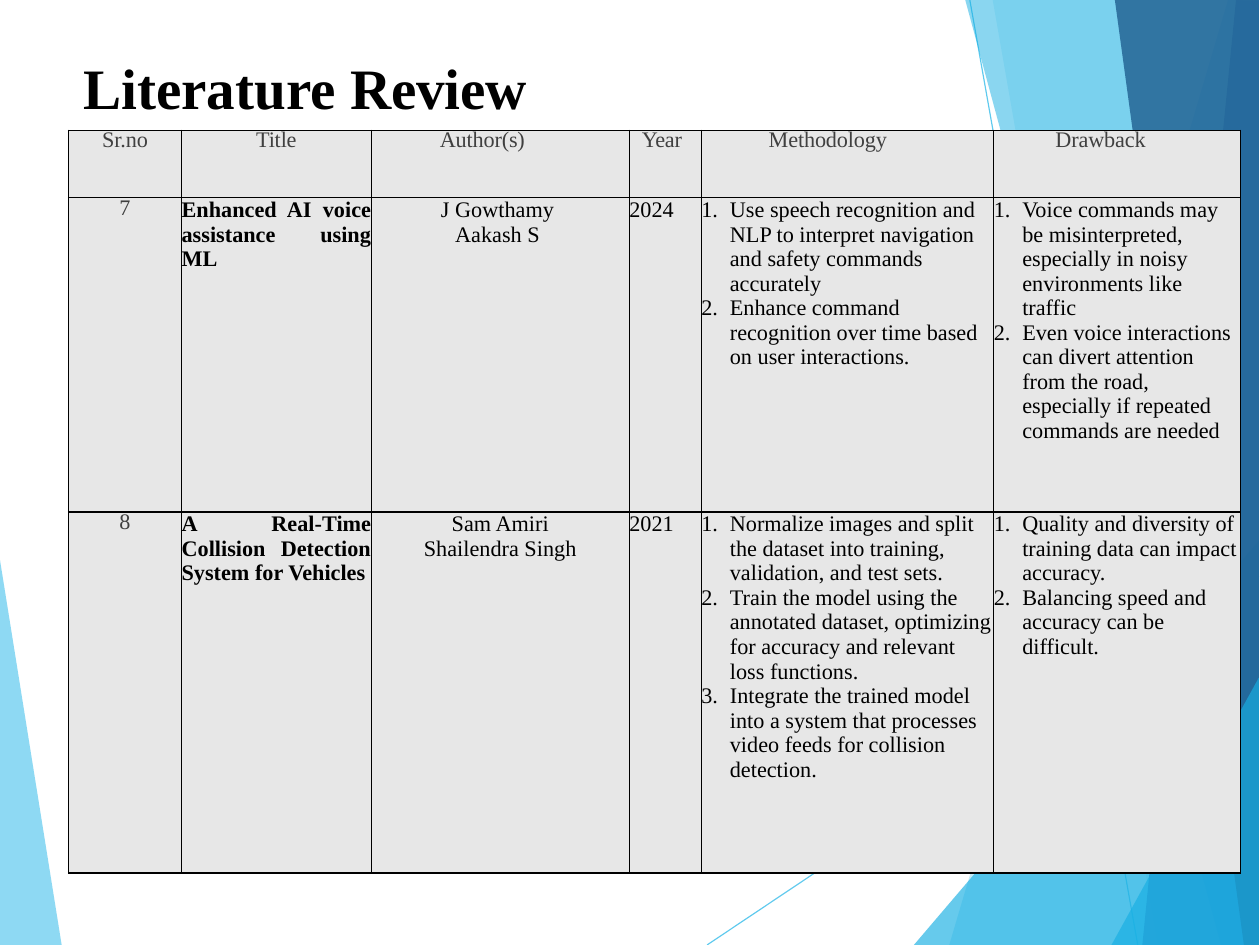
from lxml.etree import SubElement
from pptx import Presentation
from pptx.dml.color import RGBColor
from pptx.enum.shapes import MSO_CONNECTOR
from pptx.enum.text import PP_ALIGN
from pptx.oxml import parse_xml
from pptx.oxml.ns import nsdecls, qn
from pptx.util import Pt

PX = 9144  # EMU in one px, 100 px to the inch
WIDTH, HEIGHT = 1103, 827
EDGE = 1102
FONT = "Times New Roman"
BLACK, GREY, CELL_FILL = "000000", "404040", "E7E7E7"
SKY, CYAN, BLUE, NAVY = "5FCAEE", "17AFE3", "2D83C3", "226192"

# Decoration: outline points, colour, opacity in percent
LEFT_WEDGE = ([(0, 490), (0, HEIGHT), (54, HEIGHT)], SKY, 70)
RIGHT_FACETS = [
    ([(1075, 0), (831, HEIGHT), (EDGE, HEIGHT), (EDGE, 1)], SKY, 36),
    ([(EDGE, 0), (869, 0), (1014, HEIGHT), (EDGE, HEIGHT)], SKY, 20),
    ([(EDGE, 473), (800, HEIGHT), (EDGE, HEIGHT)], CYAN, 66),
    ([(EDGE, 0), (845, 0), (1069, HEIGHT), (EDGE, HEIGHT)], CYAN, 50),
    ([(EDGE, 0), (1082, 0), (1000, HEIGHT), (EDGE, HEIGHT)], BLUE, 70),
    ([(EDGE, 0), (976, 0), (1089, HEIGHT), (EDGE, HEIGHT)], NAVY, 82),
    ([(EDGE, 593), (973, HEIGHT), (EDGE, HEIGHT)], CYAN, 66),
]
THIN_LINES = [(619, HEIGHT, EDGE, 504), (849, 0, 996, HEIGHT)]

# Table content
COLUMN_WIDTHS = [99, 166, 226, 63, 256, 216]
ROW_HEIGHTS = [59, 275, 316]
# Heading, left indent (None means centred), letter spacing
HEADINGS = [
    ("Sr.no", None, -10), ("Title", None, -10), ("Author(s)", 60, -10),
    ("Year", 11, -20), ("Methodology", 59, -10), ("Drawback", 54, -10),
]
PAPERS = [
    ("7", "Enhanced AI voice assistance using ML", ["J Gowthamy ", "Aakash S "], "2024",
     ["Use speech recognition and NLP to interpret navigation and safety commands accurately",
      "Enhance command recognition over time based on user interactions."],
     ["Voice commands may be misinterpreted, especially in noisy environments like traffic",
      "Even voice interactions can divert attention from the road, "
      "especially if repeated commands are needed"]),
    ("8", "A Real-Time Collision Detection System for Vehicles",
     ["Sam Amiri", "Shailendra Singh"], "2021",
     ["Normalize images and split the dataset into training, validation, and test sets.",
      "Train the model using the annotated dataset, optimizing for accuracy "
      "and relevant loss functions.",
      "Integrate the trained model into a system that processes video feeds "
      "for collision detection."],
     ["Quality and diversity of training data can impact accuracy.",
      "Balancing speed and accuracy can be difficult."]),
]


def color(hex_code):
    return RGBColor.from_string(hex_code)


def add_facet(slide, points, fill, opacity):
    builder = slide.shapes.build_freeform(*points[0], scale=PX)
    builder.add_line_segments(points[1:], close=True)
    shape = builder.convert_to_shape()
    shape.shadow.inherit = False
    shape.line.fill.background()
    shape.fill.solid()
    shape.fill.fore_color.rgb = color(fill)
    fill_color = shape.element.spPr.find(qn("a:solidFill"))[0]
    SubElement(fill_color, qn("a:alpha"), val=str(opacity * 1000))


def add_thin_line(slide, *ends):
    connector = slide.shapes.add_connector(MSO_CONNECTOR.STRAIGHT, *(end * PX for end in ends))
    connector.line.color.rgb = color(SKY)
    connector.line.width = Pt(0.75)
    SubElement(connector.element.spPr, qn("a:effectLst"))


def add_run(paragraph, text, size=14, fill=BLACK, bold=False, spacing=0):
    run = paragraph.add_run()
    run.text = text
    run.font.name = FONT
    run.font.size = Pt(size)
    run.font.bold = bold
    run.font.color.rgb = color(fill)
    if spacing:
        run.font._element.set("spc", str(spacing))


def set_indent(paragraph, left, first=0):
    properties = paragraph._p.get_or_add_pPr()
    properties.set("marL", str(left * PX))
    properties.set("indent", str(first * PX))
    return properties


def add_title(slide):
    box = slide.shapes.add_textbox(38 * PX, 24 * PX, 855 * PX, 118 * PX)
    frame = box.text_frame
    frame.word_wrap = True
    frame.margin_left = frame.margin_right = frame.margin_bottom = 0
    frame.margin_top = 22 * PX
    paragraph = frame.paragraphs[0]
    set_indent(paragraph, 35)
    add_run(paragraph, "Literature ", 36, bold=True)
    add_run(paragraph, "Review", 36, bold=True, spacing=-10)


def format_cell(cell):
    cell.margin_left = cell.margin_right = cell.margin_top = cell.margin_bottom = 0
    cell.fill.solid()
    cell.fill.fore_color.rgb = color(CELL_FILL)
    properties = cell._tc.get_or_add_tcPr()
    for position, side in enumerate("LRTB"):
        properties.insert(position, parse_xml(
            f'<a:ln{side} w="{Pt(1)}" {nsdecls("a")}><a:solidFill>'
            f'<a:srgbClr val="{BLACK}"/></a:solidFill></a:ln{side}>'))


def write_label(cell, text, indent, spacing):
    paragraph = cell.text_frame.paragraphs[0]
    if indent is None:
        paragraph.alignment = PP_ALIGN.CENTER
    else:
        set_indent(paragraph, indent)
    paragraph.line_spacing = Pt(14.1)
    add_run(paragraph, text, fill=GREY, spacing=spacing)


def write_lines(cell, lines, alignment=PP_ALIGN.LEFT, bold=False, numbered=False):
    frame = cell.text_frame
    for index, line in enumerate(lines):
        paragraph = frame.add_paragraph() if index else frame.paragraphs[0]
        paragraph.alignment = alignment
        if numbered:
            properties = set_indent(paragraph, 25, -25)
            SubElement(properties, qn("a:buAutoNum"), type="arabicPeriod")
        add_run(paragraph, line, bold=bold)


def add_review_table(slide):
    frame = slide.shapes.add_table(
        len(ROW_HEIGHTS), len(COLUMN_WIDTHS), 60 * PX, 114 * PX,
        sum(COLUMN_WIDTHS) * PX, sum(ROW_HEIGHTS) * PX)
    table = frame.table
    table.first_row = table.horz_banding = False
    for column, width in zip(table.columns, COLUMN_WIDTHS):
        column.width = width * PX
    for row, height in zip(table.rows, ROW_HEIGHTS):
        row.height = height * PX
    for cell in table.iter_cells():
        format_cell(cell)

    for column, heading in enumerate(HEADINGS):
        write_label(table.cell(0, column), *heading)
    for row, paper in enumerate(PAPERS, start=1):
        number, title, authors, year, methods, drawbacks = paper
        cells = table.rows[row].cells
        write_label(cells[0], number, None, -50)
        write_lines(cells[1], [title], PP_ALIGN.JUSTIFY, bold=True)
        write_lines(cells[2], authors, PP_ALIGN.CENTER)
        write_lines(cells[3], [year], PP_ALIGN.JUSTIFY)
        write_lines(cells[4], methods, numbered=True)
        write_lines(cells[5], drawbacks, numbered=True)


def main():
    presentation = Presentation()
    presentation.slide_width = WIDTH * PX
    presentation.slide_height = HEIGHT * PX
    slide = presentation.slides.add_slide(presentation.slide_layouts[6])

    # Background decoration
    add_facet(slide, *LEFT_WEDGE)
    for ends in THIN_LINES:
        add_thin_line(slide, *ends)
    for facet in RIGHT_FACETS:
        add_facet(slide, *facet)

    # Title and table
    add_title(slide)
    add_review_table(slide)
    presentation.save("out.pptx")


if __name__ == "__main__":
    main()
